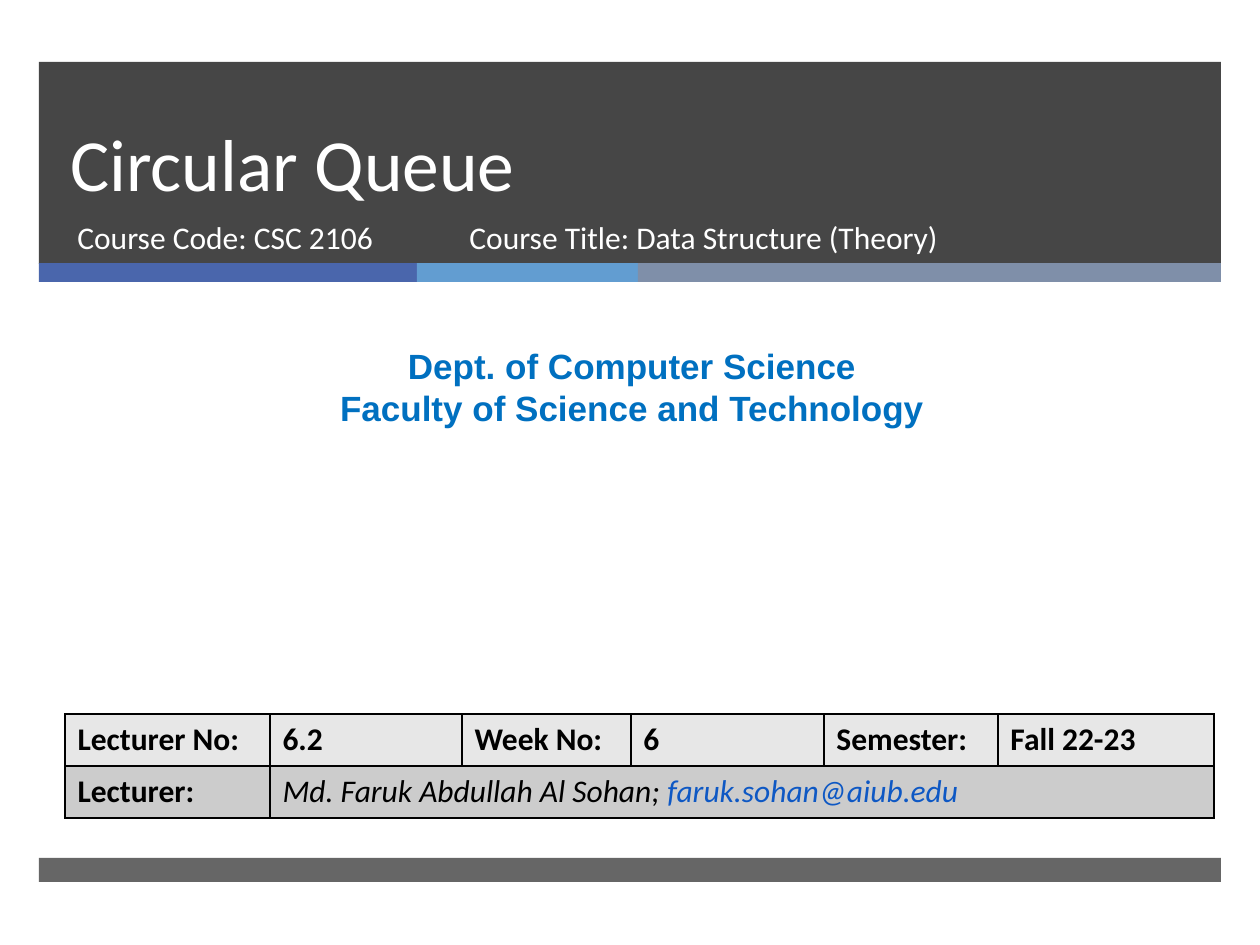
from dataclasses import dataclass

from lxml.etree import SubElement
from pptx import Presentation
from pptx.dml.color import RGBColor
from pptx.enum.shapes import MSO_SHAPE
from pptx.enum.text import MSO_ANCHOR, PP_ALIGN
from pptx.oxml.ns import qn
from pptx.util import Emu, Pt


@dataclass(frozen=True)
class Theme:
    """Colours, fonts and type sizes of the slide."""
    dark: str = "262626"
    white: str = "FFFFFF"
    black: str = "000000"
    accents: tuple = ("4A66AC", "629DD1", "7F8FA9")
    dept: str = "0070C0"
    link: str = "0E58C4"
    rows: tuple = ("E7E7E7", "CCCCCC")
    body_font: str = "Calibri"
    dept_font: str = "Arial"
    title: int = 42
    title_line: int = 46
    dept_size: int = 20
    body: int = 18


THEME = Theme()


def px(n):
    """Turn pixels into EMU at 126 pixels to the inch."""
    return Emu(round(n * 914400 / 126))


def style(font, size, color, name=THEME.body_font, bold=False, italic=False):
    """Format a font."""
    font.size, font.name, font.bold, font.italic = Pt(size), name, bold, italic
    font.color.rgb = RGBColor.from_string(color)


def add_bar(s, x, y, w, h, color, alpha=100):
    """Add a plain rectangle, alpha being its opacity in percent."""
    sp = s.shapes.add_shape(MSO_SHAPE.RECTANGLE, px(x), px(y), px(w), px(h))
    sp.shadow.inherit = False
    sp.line.fill.background()
    sp.fill.solid()
    sp.fill.fore_color.rgb = RGBColor.from_string(color)
    if alpha < 100:
        clr = sp.fill._xPr.find(f".//{qn('a:srgbClr')}")
        SubElement(clr, qn("a:alpha"), val=str(alpha * 1000))


def add_text(s, box, text, size, color, name=THEME.body_font, bold=False,
             align=PP_ALIGN.LEFT, anchor=MSO_ANCHOR.TOP, line=None):
    """Add a wrapped text box with one paragraph per line of text."""
    tf = s.shapes.add_textbox(*map(px, box)).text_frame
    tf.word_wrap = True
    tf.vertical_anchor = anchor
    tf.text = text
    for p in tf.paragraphs:
        p.alignment = align
        if line:
            p.line_spacing = Pt(line)
        for r in p.runs:
            style(r.font, size, color, name, bold)


def format_cell(cell, fill):
    """Give a cell a thin black border and a fill."""
    tc_pr = cell._tc.get_or_add_tcPr()
    for side in "LRTB":
        ln = SubElement(tc_pr, qn(f"a:ln{side}"), w=str(Pt(1)))
        solid = SubElement(ln, qn("a:solidFill"))
        SubElement(solid, qn("a:srgbClr"), val=THEME.black)
    cell.fill.solid()
    cell.fill.fore_color.rgb = RGBColor.from_string(fill)


def add_run(cell, text, color=THEME.black, bold=False, italic=False):
    """Append a formatted run to a cell."""
    r = cell.text_frame.paragraphs[0].add_run()
    r.text = text
    style(r.font, THEME.body, color, bold=bold, italic=italic)


def add_lecture_table(s, x, y, widths, row_height, labels):
    """Add the lecture details above a merged lecturer row."""
    frame = s.shapes.add_table(2, len(widths), px(x), px(y),
                               px(sum(widths)), px(2 * row_height))
    table = frame.table
    for col, width in zip(table.columns, widths):
        col.width = px(width)
    for row, fill in zip(table.rows, THEME.rows):
        row.height = px(row_height)
        for cell in row.cells:
            format_cell(cell, fill)
    for i, label in enumerate(labels):
        add_run(table.cell(0, i), label, bold=True)
    add_run(table.cell(1, 0), "Lecturer:", bold=True)
    lecturer = table.cell(1, 1)
    lecturer.merge(table.cell(1, len(widths) - 1))
    add_run(lecturer, "Md. Faruk Abdullah Al Sohan; ", italic=True)
    add_run(lecturer, "faruk.sohan@aiub.edu", THEME.link, italic=True)


def main():
    """Build the title slide and save it."""
    prs = Presentation()
    prs.slide_width, prs.slide_height = px(1260), px(945)
    s = prs.slides.add_slide(prs.slide_layouts[6])

    left, width = 39, 1182
    add_bar(s, left, 62, width, 202, THEME.dark, 85)
    x = left
    for w, color in zip((378, 221, 583), THEME.accents):
        add_bar(s, x, 263, w, 19, color)
        x += w
    add_bar(s, left, 858, width, 24, THEME.dark, 70)

    add_text(s, (58, 62, 1076, 150), "Circular Queue", THEME.title, THEME.white,
             anchor=MSO_ANCHOR.BOTTOM, line=THEME.title_line)
    add_text(s, (65, 212, 384, 67), "Course Code: CSC 2106",
             THEME.body, THEME.white)
    add_text(s, (457, 212, 573, 67), "Course Title: Data Structure (Theory)",
             THEME.body, THEME.white)
    add_text(s, (10, 338, 1244, 97),
             "Dept. of Computer Science\nFaculty of Science and Technology",
             THEME.dept_size, THEME.dept, THEME.dept_font, True, PP_ALIGN.CENTER)
    add_lecture_table(s, 65, 714, (205, 192, 169, 193, 174, 216), 52,
                      ("Lecturer No:", "6.2", "Week No:", "6",
                       "Semester:", "Fall 22-23"))
    prs.save("out.pptx")


if __name__ == "__main__":
    main()
